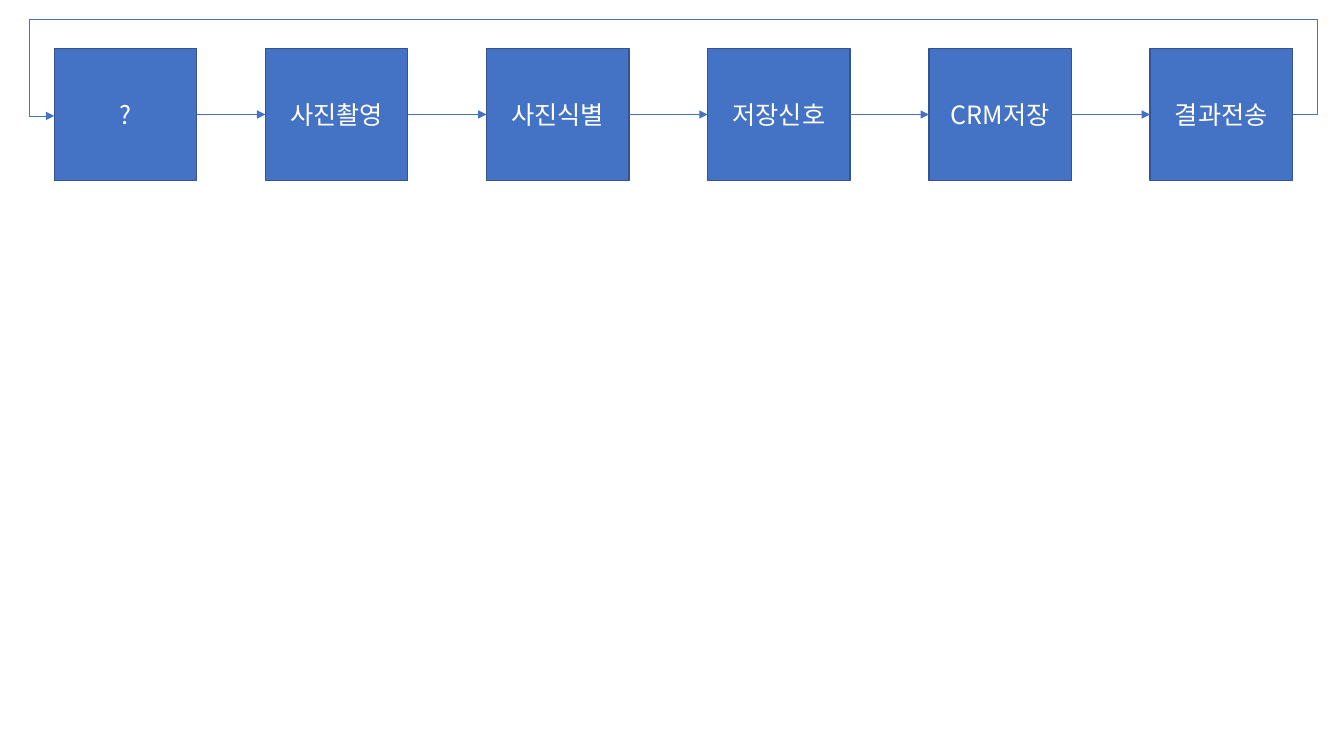
from lxml import etree
from pptx import Presentation
from pptx.dml.color import RGBColor
from pptx.enum.shapes import MSO_CONNECTOR, MSO_SHAPE
from pptx.enum.text import MSO_ANCHOR, PP_ALIGN
from pptx.oxml.ns import qn
from pptx.util import Pt

RECTANGLE = MSO_SHAPE.RECTANGLE
STRAIGHT, ELBOW = MSO_CONNECTOR.STRAIGHT, MSO_CONNECTOR.ELBOW
MIDDLE, CENTER = MSO_ANCHOR.MIDDLE, PP_ALIGN.CENTER
BLUE = RGBColor(0x44, 0x72, 0xC4)
DARK_BLUE = RGBColor(0x32, 0x54, 0x91)
WHITE = RGBColor(0xFF, 0xFF, 0xFF)
FONT = "Noto Sans CJK KR"

LEFT_SIDE, RIGHT_SIDE = 1, 3
START = "?"
STEPS = ["사진촬영", "사진식별", "저장신호", "CRM저장", "결과전송"]
START_LEFT, STEP_LEFT, STEP_PITCH = 38.75, 189.5, 158
BOX_TOP, BOX_WIDTH, BOX_HEIGHT = 34.5, 101.8, 94.6
LOOP_MARGIN, LOOP_TOP = 18, 13


def add_box(slide, text, left):
    """Add one process box with a centred label."""
    shape = slide.shapes.add_shape(
        RECTANGLE, Pt(left), Pt(BOX_TOP), Pt(BOX_WIDTH), Pt(BOX_HEIGHT))
    shape.shadow.inherit = False
    shape.fill.solid()
    shape.fill.fore_color.rgb = BLUE
    shape.line.color.rgb = DARK_BLUE
    shape.line.width = Pt(1)
    text_frame = shape.text_frame
    text_frame.text = text
    text_frame.vertical_anchor = MIDDLE
    paragraph = text_frame.paragraphs[0]
    paragraph.alignment = CENTER
    run = paragraph.runs[0]
    run.font.size = Pt(18)
    run.font.name = FONT
    run.font.color.rgb = WHITE
    etree.SubElement(run.font._element, qn("a:ea"), typeface=FONT)
    return shape


def style_arrow(connector):
    """Give a connector a thin blue line with a triangle at its end."""
    connector.line.color.rgb = BLUE
    connector.line.width = Pt(0.5)
    properties = connector._element.spPr
    etree.SubElement(properties.find(qn("a:ln")), qn("a:tailEnd"), type="triangle")
    etree.SubElement(properties, qn("a:effectLst"))


def add_arrow(slide, source, target):
    """Join the facing sides of two boxes with a straight arrow."""
    connector = slide.shapes.add_connector(STRAIGHT, 0, 0, 0, 0)
    connector.begin_connect(source, RIGHT_SIDE)
    connector.end_connect(target, LEFT_SIDE)
    style_arrow(connector)


def add_loop_arrow(slide, start_x, end_x):
    """Lead an arrow over the boxes from the last back to the first."""
    middle, drop = BOX_TOP + BOX_HEIGHT / 2, 1
    connector = slide.shapes.add_connector(
        ELBOW, Pt(start_x), Pt(middle), Pt(end_x), Pt(middle + drop))
    geometry = connector._element.spPr.find(qn("a:prstGeom"))
    geometry.set("prst", "bentConnector5")
    guides = geometry.find(qn("a:avLst"))
    overhang = LOOP_MARGIN / (start_x - end_x)
    ratios = [-overhang, (LOOP_TOP - middle) / drop, 1 + overhang]
    for number, ratio in enumerate(ratios, 1):
        etree.SubElement(guides, qn("a:gd"), name=f"adj{number}",
                         fmla=f"val {round(ratio * 100000)}")
    style_arrow(connector)


def main():
    """Build the process flow slide."""
    presentation = Presentation()
    presentation.slide_width, presentation.slide_height = Pt(960), Pt(540)
    slide = presentation.slides.add_slide(presentation.slide_layouts[6])
    boxes = [add_box(slide, START, START_LEFT)]
    for index, step in enumerate(STEPS):
        boxes.append(add_box(slide, step, STEP_LEFT + index * STEP_PITCH))
    for source, target in zip(boxes, boxes[1:]):
        add_arrow(slide, source, target)
    last_right = STEP_LEFT + (len(STEPS) - 1) * STEP_PITCH + BOX_WIDTH
    add_loop_arrow(slide, last_right, START_LEFT)
    presentation.save("out.pptx")


if __name__ == "__main__":
    main()
